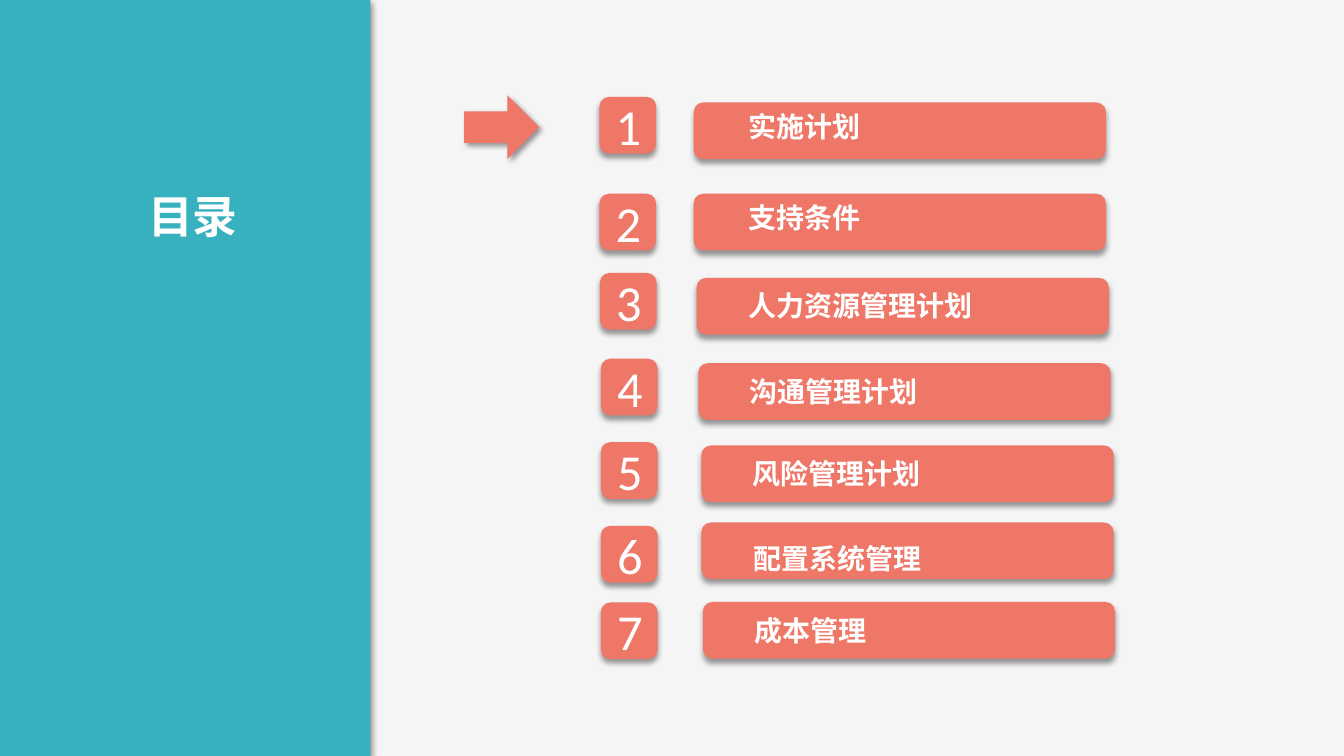
from dataclasses import dataclass
from typing import Any

from lxml import etree
from pptx import Presentation
from pptx.dml.color import RGBColor
from pptx.enum import shapes, text
from pptx.oxml import ns
from pptx.util import Pt


@dataclass(frozen=True)
class Theme:
    background: str = "F5F5F5"
    panel: str = "38B1BF"
    accent: str = "EF7768"
    lettering: str = "FFFFFF"
    shadow: str = "000000"
    digit_font: str = "Calibri"
    heading_font: str = "Noto Sans CJK SC"
    title_size: float = 32
    digit_size: float = 36
    entry_size: float = 20


@dataclass(frozen=True)
class Box:
    left: float
    top: float
    width: float
    height: float

    def lengths(self) -> tuple[Pt, ...]:
        return tuple(Pt(v) for v in (self.left, self.top, self.width, self.height))


@dataclass(frozen=True)
class Entry:
    caption: str
    badge_at: tuple[float, float]
    bar_at: tuple[float, float]
    caption_at: tuple[float, float]


THEME = Theme()
BADGE_SIDE = 40.5
BAR_SIZE = (294.5, 40.5)
CAPTION_SIZE = (215, 34)

ENTRIES = (
    Entry("实施计划", (428.2, 69.2), (495.5, 73.2), (524.8, 73.2)),
    Entry("支持条件", (428.2, 138.4), (495.5, 138.4), (524.8, 138.4)),
    Entry("人力资源管理计划", (428.5, 195), (497.5, 198.5), (524.8, 201.6)),
    Entry("沟通管理计划", (429.2, 256.2), (498.8, 259.4), (525.8, 262.6)),
    Entry("风险管理计划", (429.2, 315.8), (501, 318.2), (527.8, 321.3)),
    Entry("配置系统管理", (429.2, 375.6), (501, 373.2), (528.4, 382.2)),
    Entry("成本管理", (429.2, 430.3), (502, 430), (529.2, 433.4)),
)


def cast_shadow(shape: Any, angle: int) -> None:
    shape.shadow.inherit = False
    effects = shape._element.spPr.find(ns.qn("a:effectLst"))
    outer = etree.SubElement(
        effects, ns.qn("a:outerShdw"), blurRad=str(Pt(4)), dist=str(Pt(3)),
        dir=str(angle * 60000), algn="ctr", rotWithShape="0")
    tint = etree.SubElement(outer, ns.qn("a:srgbClr"), val=THEME.shadow)
    etree.SubElement(tint, ns.qn("a:alpha"), val="40000")


def add_block(parent: Any, kind: shapes.MSO_SHAPE, box: Box, color: str, angle: int) -> Any:
    """Add a borderless filled shape whose shadow falls at the given angle."""
    block = parent.add_shape(kind, *box.lengths())
    block.fill.solid()
    block.fill.fore_color.rgb = RGBColor.from_string(color)
    block.line.fill.background()
    cast_shadow(block, angle)
    return block


def write(shape: Any, wording: str, size: float, font_name: str,
          align: text.PP_ALIGN, bold: bool = False) -> None:
    frame = shape.text_frame
    frame.word_wrap = True
    frame.margin_left = frame.margin_right = Pt(9.6)
    frame.margin_top = frame.margin_bottom = Pt(4.8)
    frame.text = wording
    paragraph = frame.paragraphs[0]
    paragraph.alignment = align
    run = paragraph.runs[0]
    run.font.size = Pt(size)
    run.font.bold = bold
    run.font.name = font_name
    run.font.color.rgb = RGBColor.from_string(THEME.lettering)
    etree.SubElement(run.font._element, ns.qn("a:ea"), typeface=font_name)


def add_heading(parent: Any, wording: str, box: Box, size: float, align: text.PP_ALIGN) -> None:
    heading = parent.add_textbox(*box.lengths())
    write(heading, wording, size, THEME.heading_font, align, bold=True)
    heading.text_frame.auto_size = text.MSO_AUTO_SIZE.SHAPE_TO_FIT_TEXT


def add_entry(parent: Any, number: int, entry: Entry) -> None:
    rounded = shapes.MSO_SHAPE.ROUNDED_RECTANGLE
    badge = add_block(parent, rounded, Box(*entry.badge_at, BADGE_SIDE, BADGE_SIDE),
                      THEME.accent, 90)
    write(badge, str(number), THEME.digit_size, THEME.digit_font, text.PP_ALIGN.CENTER)
    badge.text_frame.vertical_anchor = text.MSO_ANCHOR.MIDDLE

    banner = parent.add_group_shape().shapes
    add_block(banner, rounded, Box(*entry.bar_at, *BAR_SIZE), THEME.accent, 90)
    add_heading(banner, entry.caption, Box(*entry.caption_at, *CAPTION_SIZE),
                THEME.entry_size, text.PP_ALIGN.LEFT)


def main() -> None:
    deck = Presentation()
    deck.slide_width, deck.slide_height = Pt(960), Pt(540)
    slide = deck.slides.add_slide(deck.slide_layouts[6])
    slide.background.fill.solid()
    slide.background.fill.fore_color.rgb = RGBColor.from_string(THEME.background)

    add_block(slide.shapes, shapes.MSO_SHAPE.RECTANGLE, Box(-8.5, 0, 273, 540),
              THEME.panel, 45)
    add_heading(slide.shapes, "目录", Box(37.5, 130.3, 142, 48), THEME.title_size,
                text.PP_ALIGN.RIGHT)
    current_marker = add_block(slide.shapes, shapes.MSO_SHAPE.DOWN_ARROW,
                               Box(335.7, 64, 45.2, 53.6), THEME.accent, 45)
    current_marker.rotation = 270

    for number, entry in enumerate(ENTRIES, start=1):
        add_entry(slide.shapes, number, entry)

    deck.save("out.pptx")


if __name__ == "__main__":
    main()
